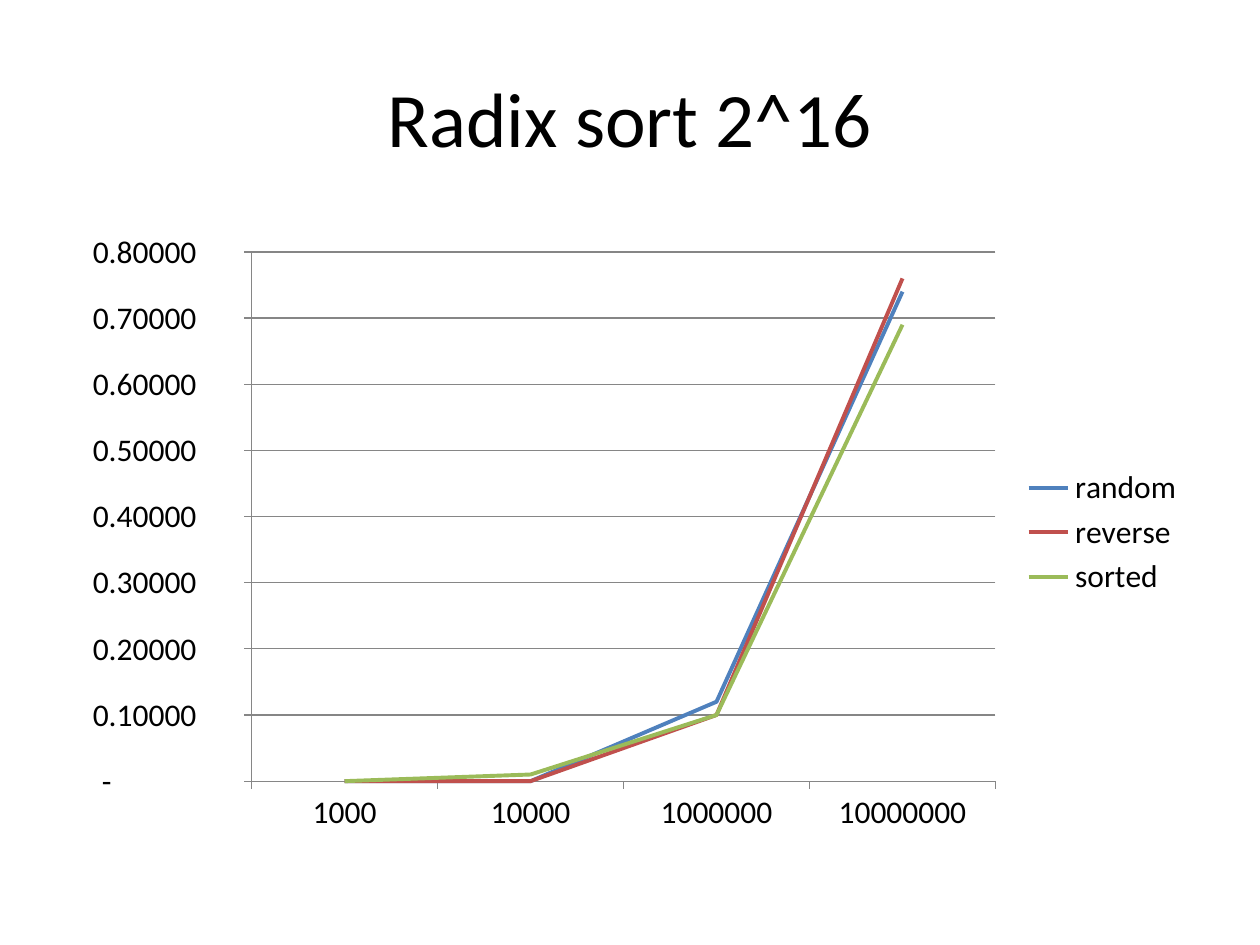
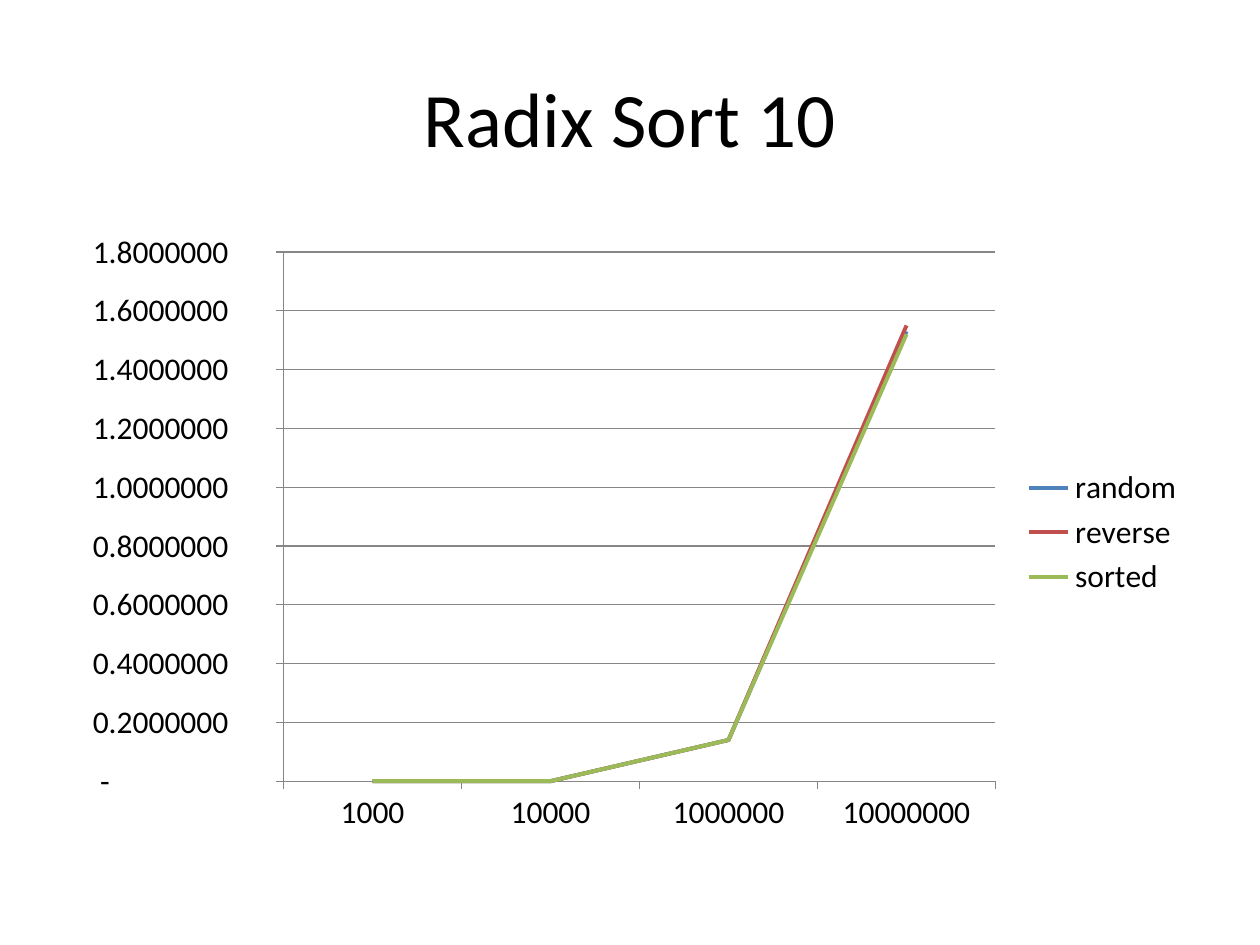
import pptx
import pptx.chart.data
import pptx.dml.color
import pptx.enum.chart
import pptx.enum.text
import pptx.util

Inches, Pt = pptx.util.Inches, pptx.util.Pt
RGBColor = pptx.dml.color.RGBColor
Tick = pptx.enum.chart.XL_TICK_MARK

BLACK = RGBColor(0x00, 0x00, 0x00)
GREY = RGBColor(0x86, 0x86, 0x86)
BLUE = RGBColor(0x4F, 0x81, 0xBD)
RED = RGBColor(0xC0, 0x50, 0x4D)
GREEN = RGBColor(0x9B, 0xBB, 0x59)
FONT = "Calibri"

TITLE_BOX = (0.5, 0.3, 9, 1.25)
CHART_BOX = (0.5, 1.75, 9, 4.95)
SIZES = ["1000", "10000", "1000000", "10000000"]
ORDERS = {"random": BLUE, "reverse": RED, "sorted": GREEN}

# Title, decimals on the value axis, timings in the sequence of ORDERS
SLIDES = [
    ("Radix sort 2^16", 5, [
        (0, 0, 0.12, 0.74),
        (0, 0, 0.1, 0.76),
        (0, 0.01, 0.1, 0.69),
    ]),
    ("Radix Sort 10", 7, [
        (0, 0, 0.14, 1.53),
        (0, 0, 0.14, 1.55),
        (0, 0, 0.14, 1.52),
    ]),
]


def style(font, size, color=BLACK):
    """Set the face, size and colour of a font."""
    font.name, font.size = FONT, Pt(size)
    font.color.rgb = color


def add_text(slide, text, box, size=44, align="CENTER", color=BLACK):
    """Add a vertically centred text box."""
    frame = slide.shapes.add_textbox(*map(Inches, box)).text_frame
    frame.word_wrap = True
    frame.vertical_anchor = pptx.enum.text.MSO_ANCHOR.MIDDLE
    par = frame.paragraphs[0]
    par.alignment = pptx.enum.text.PP_ALIGN[align]
    run = par.add_run()
    run.text = text
    style(run.font, size, color)


def money(places):
    """Return the accounting format with the given decimals."""
    num = "#,##0." + "0" * places
    gap = "?" * places
    end = r"\ _l_e_i_-"
    return f'_-* {num}{end};\\-* {num}{end};_-* "-"{gap}{end};_-@_-'


def draw_line(line, color, width):
    """Set the colour and width of a line."""
    line.color.rgb = color
    line.width = Pt(width)


def add_lines(slide, places, rows):
    """Add the line chart of timings against input size."""
    data = pptx.chart.data.CategoryChartData()
    data.categories = SIZES
    for name, row in zip(ORDERS, rows):
        data.add_series(name, row)
    kind = pptx.enum.chart.XL_CHART_TYPE.LINE
    chart = slide.shapes.add_chart(kind, *map(Inches, CHART_BOX), data).chart
    chart.has_title = False
    style(chart.font, 18)

    chart.has_legend = True
    chart.legend.position = pptx.enum.chart.XL_LEGEND_POSITION.RIGHT
    chart.legend.include_in_layout = False

    for axis in (chart.category_axis, chart.value_axis):
        axis.major_tick_mark = Tick.OUTSIDE
        axis.minor_tick_mark = Tick.NONE
        draw_line(axis.format.line, GREY, 0.75)
    value = chart.value_axis
    value.has_major_gridlines = True
    draw_line(value.major_gridlines.format.line, GREY, 0.75)
    value.tick_labels.number_format = money(places)
    value.tick_labels.number_format_is_linked = False

    plot = chart.plots[0]
    plot.vary_by_categories = False
    for series, color in zip(plot.series, ORDERS.values()):
        series.smooth = False
        series.marker.style = pptx.enum.chart.XL_MARKER_STYLE.NONE
        draw_line(series.format.line, color, 2.25)


deck = pptx.Presentation()
deck.slide_width, deck.slide_height = Inches(10), Inches(7.5)
for title, places, rows in SLIDES:
    slide = deck.slides.add_slide(deck.slide_layouts[6])
    add_text(slide, title, TITLE_BOX)
    add_lines(slide, places, rows)
deck.save("out.pptx")
